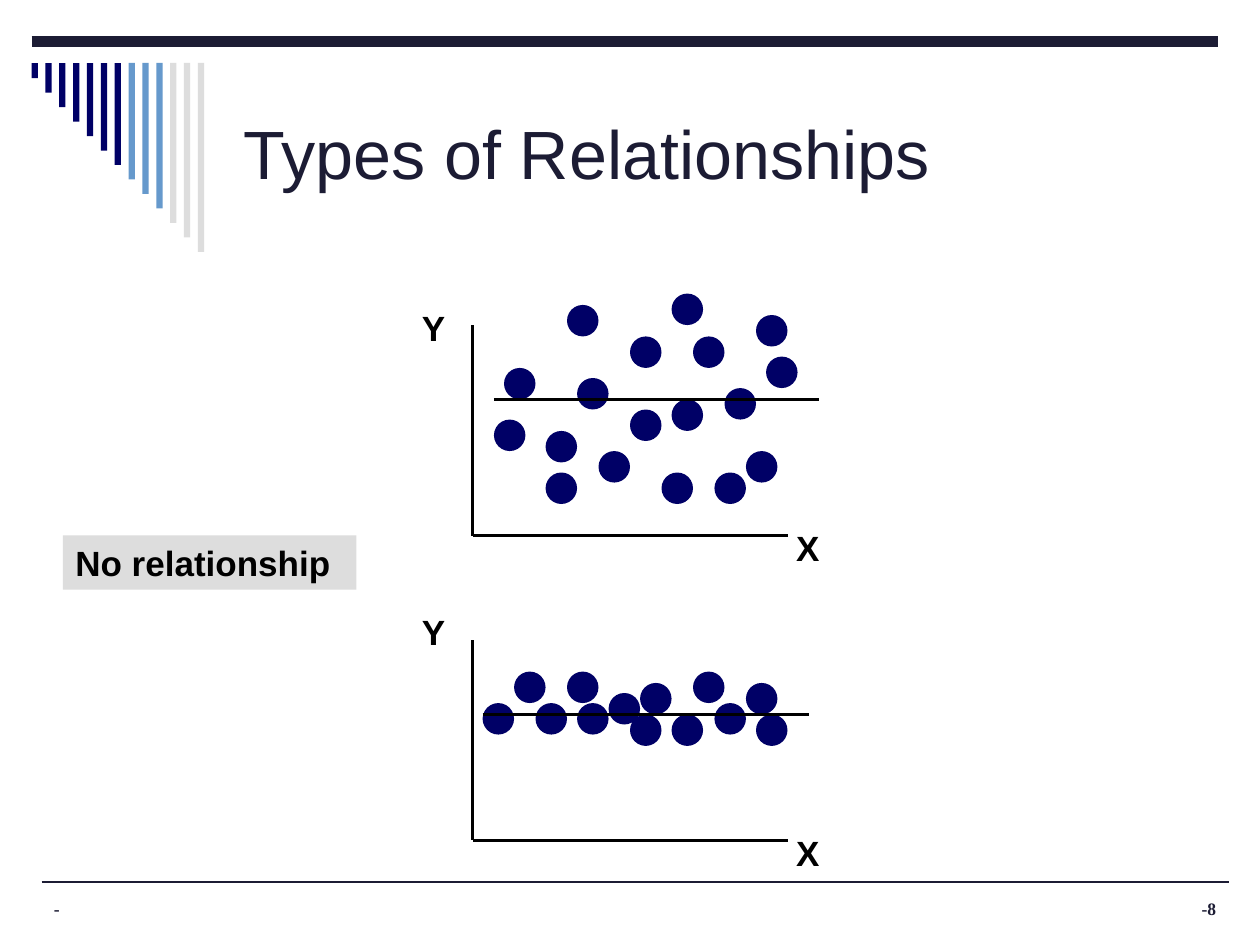
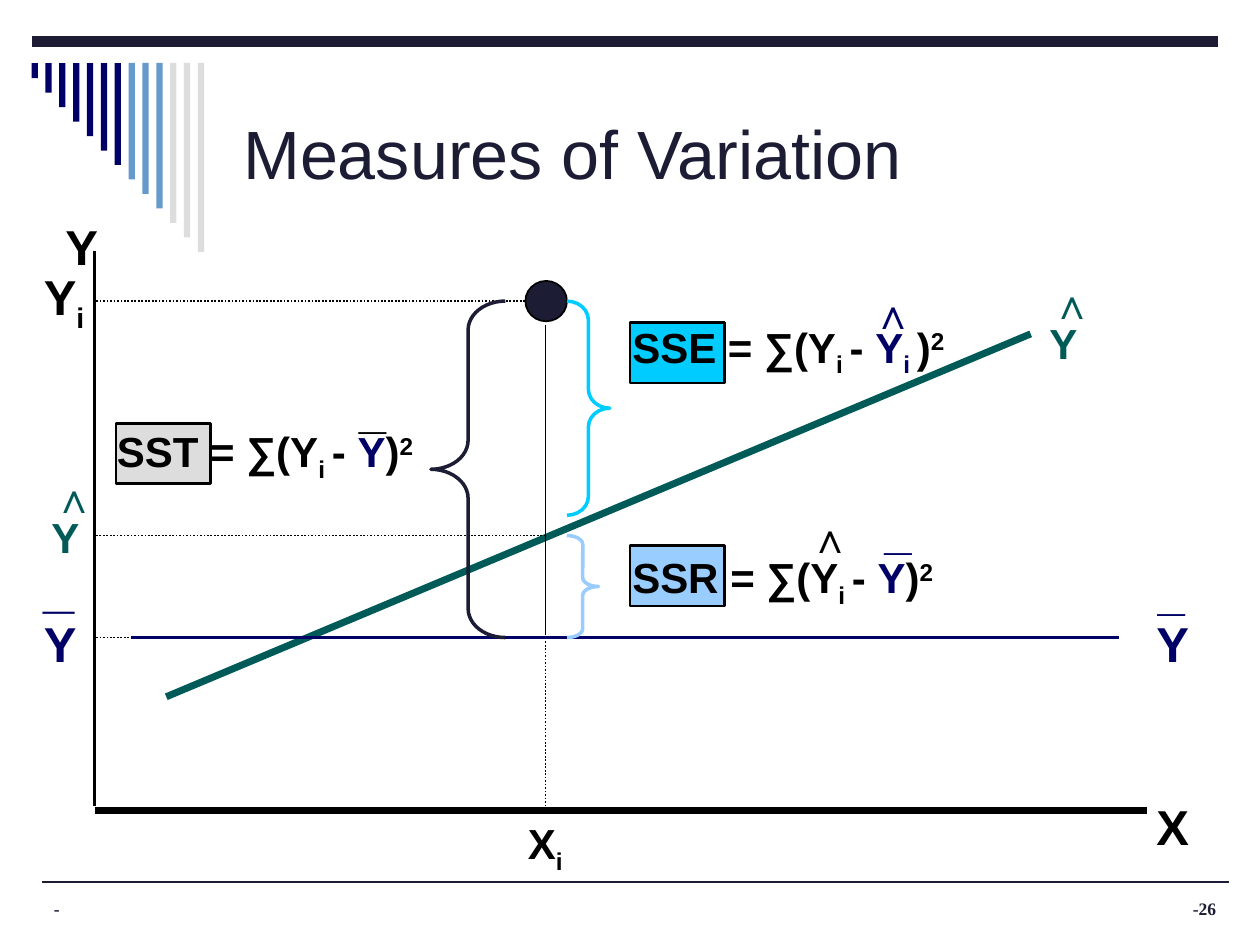
from typing import NamedTuple

from lxml.etree import SubElement
from pptx import Presentation
from pptx.dml.color import RGBColor
from pptx.enum.dml import MSO_LINE
from pptx.enum.shapes import MSO_CONNECTOR, MSO_SHAPE
from pptx.enum.text import MSO_ANCHOR, MSO_AUTO_SIZE, PP_ALIGN
from pptx.oxml.ns import qn
from pptx.util import Inches, Pt

# Shared palette and fonts
BLACK, INK, NAVY, STEEL = "000000", "1C1C34", "000066", "6699CC"
GRAY, TEAL, CYAN, SKY = "DDDDDD", "005A58", "00CCFF", "99CCFF"
SANS, SERIF = "Arial", "Times New Roman"
SUB, SUPER = -25, 30
DOT = 0.25


class Line(NamedTuple):
    x1: float
    y1: float
    x2: float
    y2: float
    color: str = BLACK
    width: float = 1
    dotted: bool = False


class Run(NamedTuple):
    text: str
    color: str = BLACK
    baseline: int = 0


class Label(NamedTuple):
    x: float
    y: float
    w: float
    h: float
    runs: list[Run]
    size: float = 28
    wrap: bool = True
    align: PP_ALIGN = PP_ALIGN.LEFT
    font: str = SANS
    fill: str = ""


class Block(NamedTuple):
    kind: MSO_SHAPE
    x: float
    y: float
    w: float
    h: float
    fill: str = ""
    line: str = ""
    width: float = 1
    adjust: float = 0


class Scatter(NamedTuple):
    top: float
    bottom: float
    y_label: float
    dots: list[tuple[float, float]]
    trend: Line


def rgb(value: str) -> RGBColor:
    return RGBColor.from_string(value)


def add_line(s, line: Line) -> None:
    cx = s.shapes.add_connector(MSO_CONNECTOR.STRAIGHT, Inches(line.x1), Inches(line.y1),
                                Inches(line.x2), Inches(line.y2))
    cx.line.color.rgb = rgb(line.color)
    cx.line.width = Pt(line.width)
    if line.dotted:
        cx.line.dash_style = MSO_LINE.ROUND_DOT
    SubElement(cx._element.spPr, qn("a:effectLst"))


def add_block(s, block: Block) -> None:
    sp = s.shapes.add_shape(block.kind, Inches(block.x), Inches(block.y),
                            Inches(block.w), Inches(block.h))
    sp.shadow.inherit = False
    if block.fill:
        sp.fill.solid()
        sp.fill.fore_color.rgb = rgb(block.fill)
    else:
        sp.fill.background()
    if block.line:
        sp.line.color.rgb = rgb(block.line)
        sp.line.width = Pt(block.width)
    else:
        sp.line.fill.background()
    if block.adjust:
        sp.adjustments[0] = block.adjust


def add_label(s, label: Label) -> None:
    sp = s.shapes.add_textbox(Inches(label.x), Inches(label.y), Inches(label.w), Inches(label.h))
    if label.fill:
        sp.fill.solid()
        sp.fill.fore_color.rgb = rgb(label.fill)
    tf = sp.text_frame
    tf.word_wrap = label.wrap
    p = tf.paragraphs[0]
    p.alignment = label.align
    for run in label.runs:
        r = p.add_run()
        r.text = run.text
        r.font.name, r.font.size, r.font.bold = label.font, Pt(label.size), True
        r.font.color.rgb = rgb(run.color)
        if run.baseline:
            r._r.get_or_add_rPr().set("baseline", str(run.baseline * 1000))


def add_base_slide(prs, title: str, number: str):
    """Slide with rules, stripes, title and footer."""
    s = prs.slides.add_slide(prs.slide_layouts[5])
    add_line(s, Line(0.33, 7, 9.75, 7, INK))
    add_line(s, Line(0.25, 0.33, 9.67, 0.33, INK, 6))
    for i, color in enumerate([NAVY] * 7 + [STEEL] * 3 + [GRAY] * 3):
        add_block(s, Block(MSO_SHAPE.RECTANGLE, 0.25 + 0.11 * i, 0.5,
                           0.05, 0.12 + 0.115 * i, color))
    add_label(s, Label(0.33, 7.08, 6.25, 0.25, [Run("-", INK)], 10, font=SERIF))
    add_label(s, Label(7.42, 7.08, 2.33, 0.25, [Run(number, INK)], 10,
                       align=PP_ALIGN.RIGHT, font=SERIF))

    sp = s.shapes.title
    sp.left, sp.top, sp.width, sp.height = Inches(1.83), Inches(0.5), Inches(7.67), Inches(1.42)
    tf = sp.text_frame
    tf.text = title
    tf.auto_size = MSO_AUTO_SIZE.NONE
    tf.vertical_anchor = MSO_ANCHOR.MIDDLE
    p = tf.paragraphs[0]
    p.alignment = PP_ALIGN.LEFT
    font = p.runs[0].font
    font.name, font.size, font.color.rgb = SANS, Pt(39), rgb(INK)
    return s


def add_scatter(s, plot: Scatter) -> None:
    add_line(s, Line(3.75, plot.top, 3.75, plot.bottom, width=2))
    add_line(s, Line(3.75, plot.bottom, 6.25, plot.bottom, width=2))
    for x, y in plot.dots:
        add_block(s, Block(MSO_SHAPE.OVAL, x, y, DOT, DOT, NAVY))
    add_label(s, Label(3.25, plot.y_label, 0.39, 0.43, [Run("Y")], 20, wrap=False))
    add_label(s, Label(6.22, plot.bottom - 0.12, 0.39, 0.43, [Run("X")], 20, wrap=False))
    add_line(s, plot.trend)


def relationships_slide(prs) -> None:
    s = add_base_slide(prs, "Types of Relationships", "-8")
    scattered = [(3.92, 3.33), (4, 2.92), (4.33, 3.42), (4.33, 3.75), (4.5, 2.42), (4.58, 3),
                 (4.75, 3.58), (5, 2.67), (5, 3.25), (5.25, 3.75), (5.33, 2.33), (5.33, 3.17),
                 (5.5, 2.67), (5.67, 3.75), (5.75, 3.08), (5.92, 3.58), (6, 2.5), (6.08, 2.83)]
    flat = [(3.83, 5.58), (4.08, 5.33), (4.25, 5.58), (4.5, 5.33), (4.58, 5.58), (4.83, 5.5),
            (5, 5.67), (5.08, 5.42), (5.33, 5.67), (5.5, 5.33), (5.67, 5.58), (5.92, 5.42),
            (6, 5.67)]
    add_scatter(s, Scatter(2.58, 4.25, 2.38, scattered, Line(3.92, 3.17, 6.5, 3.17, width=1.5)))
    add_scatter(s, Scatter(5.08, 6.67, 4.8, flat, Line(3.83, 5.67, 6.42, 5.67, width=1.5)))
    add_label(s, Label(0.5, 4.25, 2.33, 0.43, [Run("No relationship")], 20, fill=GRAY))


def variation_slide(prs) -> None:
    s = add_base_slide(prs, "Measures of Variation", "-26")
    x_i, y_i, y_hat, y_mean = 4.33, 2.39, 4.25, 5.06

    # Highlights behind the sum-of-squares names
    for x, y, color in [(5, 4.33, SKY), (5, 2.56, CYAN), (0.92, 3.36, GRAY)]:
        add_block(s, Block(MSO_SHAPE.RECTANGLE, x, y, 0.75, 0.48, color, BLACK, 1.5))

    # Axes, guides, regression line and mean line
    for line in [
        Line(1.08, y_mean, 0.75, y_mean, dotted=True),
        Line(4.25, y_i, 0.75, y_i, dotted=True),
        Line(0.75, 1.99, 0.75, 6.4, width=2),
        Line(0.75, 6.43, 9.1, 6.43, width=4),
        Line(1.32, 5.53, 8.18, 2.65, TEAL, 4),
        Line(x_i, 2.58, x_i, 5.04),
        Line(1.04, y_mean, 8.88, y_mean, NAVY, 2),
        Line(x_i, 5.09, x_i, 6.41, dotted=True),
        Line(x_i, y_hat, 0.75, y_hat, dotted=True),
    ]:
        add_line(s, line)

    # Observation and the braces measuring its deviations
    for block in [
        Block(MSO_SHAPE.OVAL, 4.17, 2.23, 0.33, 0.32, INK, BLACK),
        Block(MSO_SHAPE.LEFT_BRACE, 3.42, y_i, 0.59, y_mean - y_i, "", INK, 2, 0.39),
        Block(MSO_SHAPE.RIGHT_BRACE, 4.5, y_i, 0.34, 1.7, "", CYAN, 2, 0.44),
        Block(MSO_SHAPE.RIGHT_BRACE, 4.5, y_hat, 0.25, y_mean - y_hat, "", SKY, 2, 0.28),
    ]:
        add_block(s, block)

    # Formulas
    def formula(name: str, *last_term: Run) -> list[Run]:
        return [Run(f"{name} = ∑(Y"), Run("i ", BLACK, SUB), Run("- "), *last_term,
                Run(")"), Run("2", BLACK, SUPER)]

    mean = Run("Y", NAVY)
    for x, y, w, runs in [
        (0.83, 3.33, 2.83, formula("SST", mean)),
        (4.92, 2.5, 2.75, formula("SSE", mean, Run("i ", NAVY, SUB))),
        (4.92, 4.33, 3.66, formula("SSR", mean)),
        (4.09, 6.44, 0.91, [Run("X"), Run("i", BLACK, SUB)]),
    ]:
        add_label(s, Label(x, y, w, 0.5, runs, 24))

    # Axis and line labels
    for x, y, w, runs in [
        (9.08, 4.82, 0.51, [mean]),
        (0.25, 4.82, 0.5, [mean]),
        (9.08, 6.27, 0.51, [Run("X")]),
        (0.42, 1.67, 0.51, [Run("Y")]),
        (0.25, 2.07, 0.84, [Run("Y"), Run("i", BLACK, SUB)]),
    ]:
        add_label(s, Label(x, y, w, 0.56, runs))
    for x, y in [(8.23, 2.47), (0.31, 4.01)]:
        add_label(s, Label(x, y, 0.42, 0.5, [Run("Y", TEAL)], 24, False, PP_ALIGN.CENTER))

    # Hats and bars above the letters
    for x, y, color in [(6.83, 2.23, NAVY), (6.33, 4.01, BLACK),
                        (8.25, 2.15, TEAL), (0.33, 3.69, TEAL)]:
        add_label(s, Label(x, y, 1.18, 0.5, [Run("∧", color)], 24))
    for x, y, color, size in [(9.09, 4.41, NAVY, 28), (6.92, 3.92, NAVY, 28),
                              (2.75, 2.96, BLACK, 28), (0.25, 4.33, NAVY, 32)]:
        add_label(s, Label(x, y, 0.66, 0.56, [Run("_", color)], size))


def main() -> None:
    prs = Presentation()
    prs.slide_width, prs.slide_height = Inches(10), Inches(7.5)
    relationships_slide(prs)
    variation_slide(prs)
    prs.save("out.pptx")


if __name__ == "__main__":
    main()
